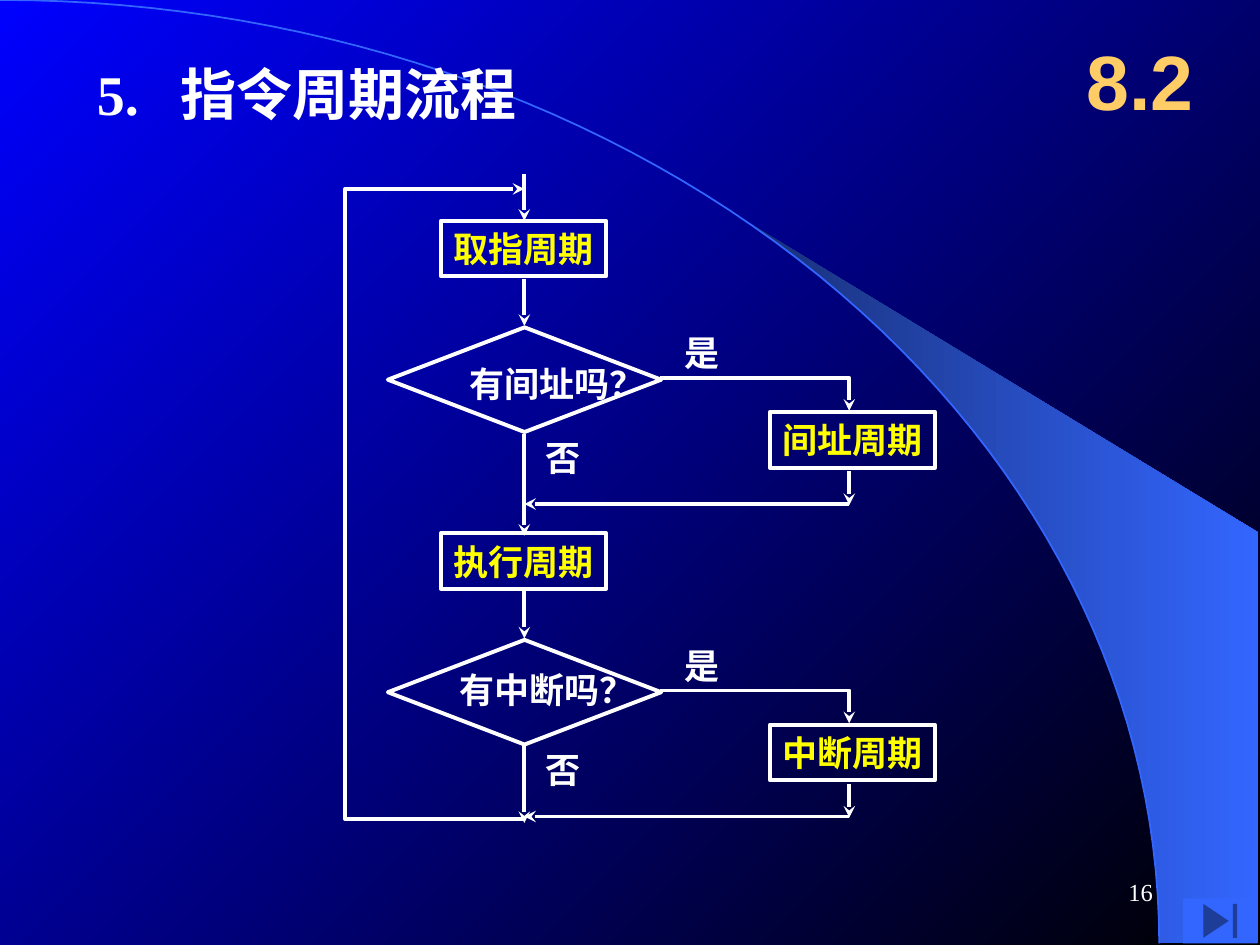
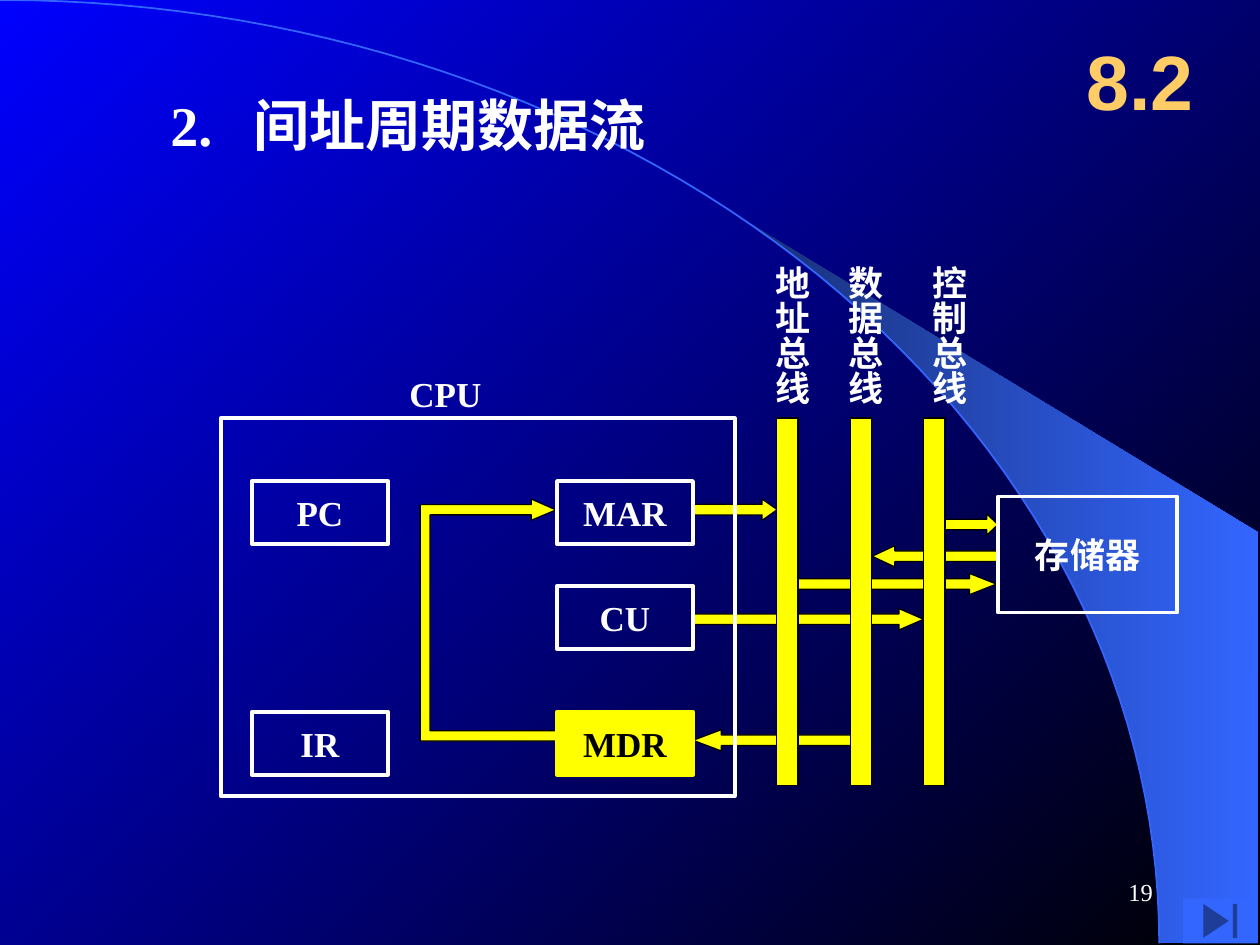
from math import asin, cos, pi, sin

from lxml import etree
from pptx import Presentation
from pptx.dml.color import RGBColor
from pptx.enum.shapes import MSO_CONNECTOR, MSO_SHAPE
from pptx.enum.text import MSO_ANCHOR, MSO_AUTO_SIZE, PP_ALIGN
from pptx.oxml.ns import qn
from pptx.util import Cm, Pt

WHITE = RGBColor(0xFF, 0xFF, 0xFF)
BLACK = RGBColor(0, 0, 0)
YELLOW = RGBColor(0xFF, 0xFF, 0)
GOLD = RGBColor(0xFF, 0xCC, 0x66)
BLUE = RGBColor(0, 0, 0xFF)
SKY = RGBColor(0x33, 0x66, 0xFF)
NAVY = RGBColor(0x18, 0x2F, 0x76)

SERIF = "Times New Roman"
SANS = "Arial"

RECTANGLE = MSO_SHAPE.RECTANGLE
DIAMOND = MSO_SHAPE.DIAMOND
RIGHT_ARROW = MSO_SHAPE.RIGHT_ARROW
LEFT_ARROW = MSO_SHAPE.LEFT_ARROW
END_BUTTON = MSO_SHAPE.ACTION_BUTTON_END
STRAIGHT = MSO_CONNECTOR.STRAIGHT
LEFT, CENTER, RIGHT = PP_ALIGN.LEFT, PP_ALIGN.CENTER, PP_ALIGN.RIGHT
TOP, MIDDLE = MSO_ANCHOR.TOP, MSO_ANCHOR.MIDDLE
NO_AUTOFIT = MSO_AUTO_SIZE.NONE

MAIN_X = 10.57
SIDE_X = 17.12
STAGE_STEP = 6.3
PROCESS_SIZE = (3.33, 1.12)
REGISTER_SIZE = (2.74, 1.27)
BUS_TOP = 8.43
BUS_WIDTH = 0.43


def lengths(*values):
    return [Cm(value) for value in values]


def set_gradient(fill, first, last, angle):
    fill.gradient()
    fill.gradient_angle = angle
    for stop, color in zip(fill.gradient_stops, (first, last)):
        stop.color.rgb = color


def set_line(shape, color, width, arrow=False):
    shape.line.color.rgb = color
    shape.line.width = Pt(width)
    if arrow:
        line = shape.element.spPr.find(qn("a:ln"))
        etree.SubElement(line, qn("a:tailEnd"), type="stealth")


def set_text(box, text, color=WHITE, size=20, bold=True, font=SERIF,
             align=CENTER, anchor=MIDDLE, wrap=False):
    frame = box.text_frame
    frame.word_wrap = wrap
    frame.vertical_anchor = anchor
    para = frame.paragraphs[0]
    para.text = text
    para.alignment = align
    para.font.name = font
    para.font.size = Pt(size)
    para.font.bold = bold
    para.font.color.rgb = color


def add_label(page, text, x, y, width, height=1.12, **style):
    box = page.shapes.add_textbox(*lengths(x, y, width, height))
    set_text(box, text, **style)
    return box


def add_vertical_label(page, text, x, y):
    box = add_label(page, text, x, y, 1.35, 3.1, anchor=TOP)
    box.element.txBody.bodyPr.set("vert", "eaVert")
    frame = box.text_frame
    frame.margin_left = frame.margin_right = Cm(0.13)
    frame.margin_top = frame.margin_bottom = 0


def add_box(page, kind, x, y, width, height, fill=None, line=WHITE, weight=2.25):
    shape = page.shapes.add_shape(kind, *lengths(x, y, width, height))
    shape.shadow.inherit = False
    if fill is None:
        shape.fill.background()
    else:
        shape.fill.solid()
        shape.fill.fore_color.rgb = fill
    if line is None:
        shape.line.fill.background()
    else:
        set_line(shape, line, weight)
    return shape


def add_outline(page, points, closed=False):
    start, *others = [lengths(*point) for point in points]
    builder = page.shapes.build_freeform(*start)
    builder.add_line_segments(others, close=closed)
    shape = builder.convert_to_shape()
    shape.shadow.inherit = False
    if not closed:
        shape.fill.background()
    return shape


def add_route(page, *points):
    set_line(add_outline(page, points), WHITE, 2.25, arrow=True)


def add_arrow(page, x1, y1, x2, y2):
    arrow = page.shapes.add_connector(STRAIGHT, *lengths(x1, y1, x2, y2))
    set_line(arrow, WHITE, 2.25, arrow=True)
    etree.SubElement(arrow.element.spPr, qn("a:effectLst"))


def add_block_arrow(page, kind, x, y, width, head):
    arrow = add_box(page, kind, x, y, width, 0.43, YELLOW, BLACK, 0.75)
    arrow.adjustments[1] = head


def arc_points(start):
    steps = 60
    angles = [start + (pi / 2 - start) * step / steps for step in range(steps + 1)]
    return [(23.37 * sin(angle), 19.02 * (1 - cos(angle))) for angle in angles]


def add_scenery(layout, page):
    wing_points = arc_points(asin(0.64)) + [(25.37, 19.02), (25.37, 10.74)]
    wing = add_outline(page, wing_points, closed=True)
    set_gradient(wing.fill, NAVY, SKY, 0)
    wing.line.fill.background()
    arc = add_outline(page, arc_points(0))
    set_line(arc, SKY, 1)
    for shape in (wing, arc):
        layout.shapes.element.append(shape.element)


def add_page(deck, layout, title, x, y, number):
    page = deck.slides.add_slide(layout)
    heading = page.shapes.title
    heading.left, heading.top, heading.width, heading.height = lengths(x, y, 15.88, 1.63)
    heading.text_frame.auto_size = NO_AUTOFIT
    properties = heading.text_frame.paragraphs[0]._p.get_or_add_pPr()
    tabs = etree.SubElement(properties, qn("a:tabLst"))
    etree.SubElement(tabs, qn("a:tab"), pos=str(Cm(1.68)), algn="l")
    set_text(heading, title, size=32, align=LEFT, anchor=TOP, wrap=True)
    add_label(page, "8.2", 21.39, 0.43, 3.18, 2.34, color=GOLD, size=44,
              font=SANS, wrap=True)
    add_label(page, number, 18.21, 17.35, 5.28, 1.27, size=14, bold=False,
              align=RIGHT, wrap=True)
    add_box(page, END_BUTTON, 23.85, 18.11, 1.5, 0.91, SKY, None)
    return page


def add_process(page, text, x, y):
    set_text(add_box(page, RECTANGLE, x, y, *PROCESS_SIZE), text, color=YELLOW)


def add_stage(page, top, process, question, question_at, branch, no_end):
    add_process(page, process, 8.89, top)
    add_arrow(page, MAIN_X, top + 1.17, MAIN_X, top + 2.12)
    add_box(page, DIAMOND, 7.82, top + 2.15, 5.51, 2.11)
    add_label(page, question, *question_at, 4.03)
    add_route(page, (13.31, top + 3.17), (SIDE_X, top + 3.17), (SIDE_X, top + 3.83))
    add_label(page, "是", 13.54, top + 2.1, 1.22)
    add_process(page, branch, 15.52, top + 3.86)
    add_arrow(page, SIDE_X, top + 5.05, SIDE_X, top + 5.73)
    add_arrow(page, SIDE_X, top + 5.71, MAIN_X, top + 5.71)
    add_arrow(page, MAIN_X, top + 4.29, MAIN_X, no_end)
    add_label(page, "否", 10.75, top + 4.21, 1.22)


def draw_cycle_flow(page):
    stages = [
        ("取指周期", "有间址吗？", (8.86, 7.17), "间址周期", 10.8),
        ("执行周期", "有中断吗？", (8.66, 13.34), "中断周期", 16.59),
    ]
    add_arrow(page, MAIN_X, 3.51, MAIN_X, 4.45)
    for index, stage in enumerate(stages):
        add_stage(page, 4.45 + index * STAGE_STEP, *stage)
    add_route(page, (MAIN_X, 16.51), (6.96, 16.51), (6.96, 3.81), (MAIN_X, 3.81))


def draw_data_flow(page):
    bus_arrows = [
        (LEFT_ARROW, 17.58, 11, 2.54, 1.07),
        (RIGHT_ARROW, 13.97, 12.27, 4.65, 1.15),
        (RIGHT_ARROW, 13.97, 10.06, 1.7, 0.71),
        (RIGHT_ARROW, 16.08, 11.56, 4.01, 1.27),
        (LEFT_ARROW, 13.97, 14.71, 3.18, 1.33),
        (RIGHT_ARROW, 18.85, 10.36, 1.27, 0.53),
    ]
    for arrow in bus_arrows:
        add_block_arrow(page, *arrow)

    mdr_to_mar = add_outline(page, [
        (11.23, 14.73), (8.67, 14.73), (8.67, 10.38), (10.71, 10.38), (10.71, 10.49),
        (11.21, 10.28), (10.71, 10.06), (10.71, 10.17), (8.47, 10.17), (8.47, 14.94),
        (11.23, 14.94),
    ], closed=True)
    mdr_to_mar.fill.solid()
    mdr_to_mar.fill.fore_color.rgb = YELLOW
    set_line(mdr_to_mar, BLACK, 0.75)

    buses = [("地址总线", 15.16), ("数据总线", 16.64), ("控制总线", 18.34)]
    for index, (name, label_x) in enumerate(buses):
        add_box(page, RECTANGLE, 15.66 + index * 1.48, BUS_TOP, BUS_WIDTH, 7.41,
                YELLOW, BLACK, 0.75)
        add_vertical_label(page, name, label_x, 5.36)

    add_box(page, RECTANGLE, 4.45, BUS_TOP, 10.36, 7.62)
    add_label(page, "CPU", 8, 7.37, 1.96)
    registers = [("PC", 5.08, 9.7), ("MAR", 11.23, 9.7), ("CU", 11.23, 11.81),
                 ("IR", 5.08, 14.35)]
    for name, x, y in registers:
        set_text(add_box(page, RECTANGLE, x, y, *REGISTER_SIZE), name)
    mdr = add_box(page, RECTANGLE, 11.23, 14.35, *REGISTER_SIZE, YELLOW, YELLOW)
    set_text(mdr, "MDR", color=BLACK)
    set_text(add_box(page, RECTANGLE, 20.12, 10.01, 3.61, 2.34), "存储器")


def main():
    deck = Presentation()
    deck.slide_width, deck.slide_height = lengths(25.4, 19.05)
    set_gradient(deck.slide_master.background.fill, BLUE, BLACK, 315)
    layout = deck.slide_layouts.get_by_name("Title Only")

    flow_page = add_page(deck, layout, "5.\t指令周期流程", 1.7, 1.07, "16")
    add_scenery(layout, flow_page)
    draw_cycle_flow(flow_page)

    data_page = add_page(deck, layout, "2.\t间址周期数据流", 3.18, 1.7, "19")
    draw_data_flow(data_page)
    deck.save("out.pptx")


if __name__ == "__main__":
    main()
